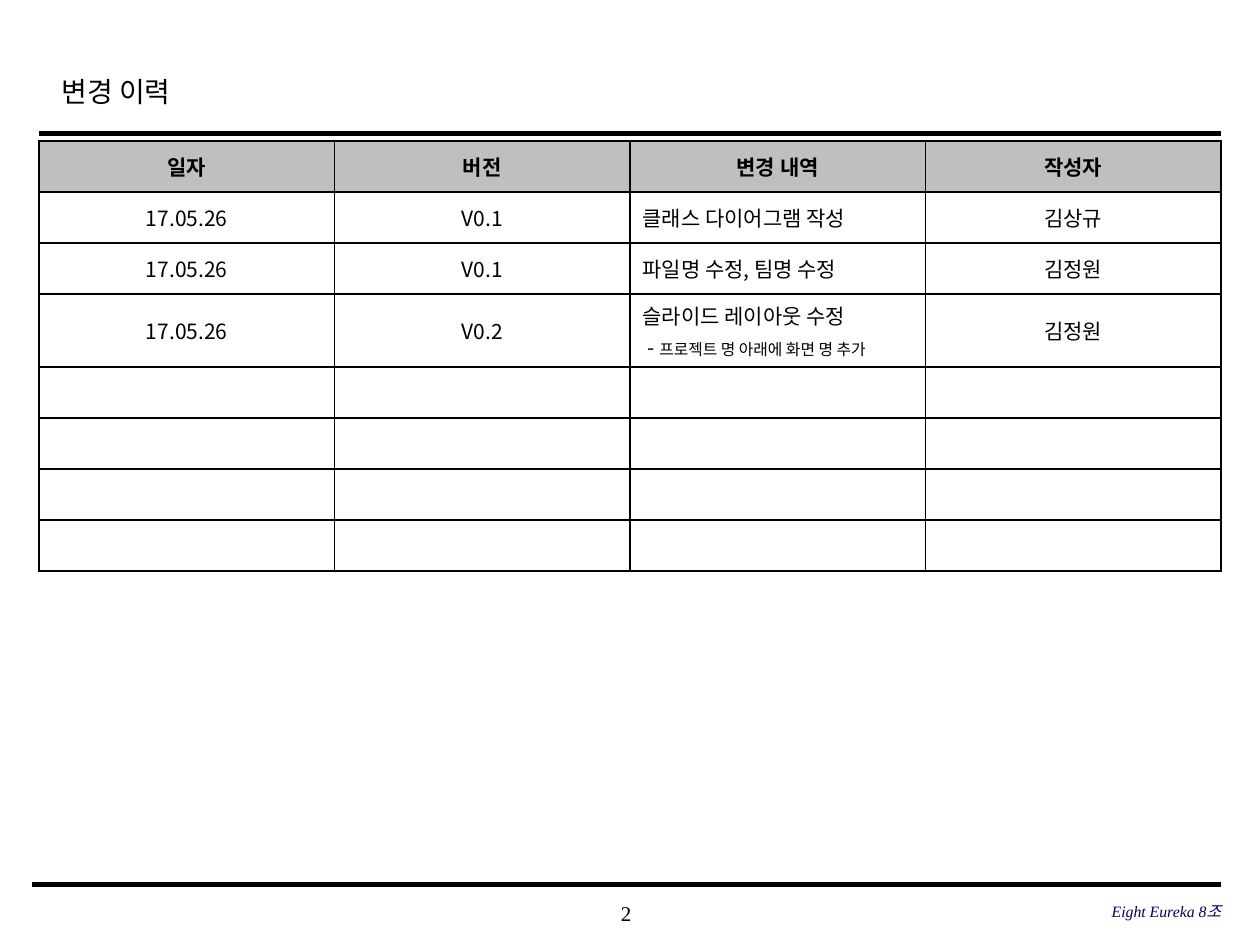
"""Build the revision history slide."""
import pptx
import pptx.dml.color
import pptx.enum.shapes
import pptx.enum.text
import pptx.oxml.ns
import pptx.util
import lxml.etree

Inches = pptx.util.Inches
Pt = pptx.util.Pt
ALIGN = pptx.enum.text.PP_ALIGN
MIDDLE = pptx.enum.text.MSO_ANCHOR.MIDDLE
qn = pptx.oxml.ns.qn
SANS = "Noto Sans CJK KR"
SERIF = "Times New Roman"


def color(hex_string):
    return pptx.dml.color.RGBColor.from_string(hex_string)


def style(paragraph, font_name, size, hex_string="000000", align=ALIGN.LEFT):
    paragraph.alignment = align
    paragraph.font.name = font_name
    paragraph.font.size = Pt(size)
    paragraph.font.color.rgb = color(hex_string)
    defaults = paragraph._p.pPr.find(qn("a:defRPr"))
    lxml.etree.SubElement(defaults, qn("a:ea"), typeface=SANS)


presentation = pptx.Presentation()
presentation.slide_width = Inches(10)
presentation.slide_height = Inches(7.5)
slide = presentation.slides.add_slide(presentation.slide_layouts[6])

for left, top, width in [(0.31, 1.06, 2.5), (0.25, 7.02, 3)]:
    rule = slide.shapes.add_connector(
        pptx.enum.shapes.MSO_CONNECTOR.STRAIGHT,
        Inches(left), Inches(top), Inches(9.69), Inches(top))
    rule.line.color.rgb = color("000000")
    rule.line.width = Pt(width)
    lxml.etree.SubElement(rule._element.spPr, qn("a:effectLst"))

title = slide.shapes.add_textbox(Inches(0.39), Inches(0.49), Inches(7.55), Inches(0.5))
title.text_frame.word_wrap = True
title_paragraph = title.text_frame.paragraphs[0]
title_paragraph.text = "변경 이력"
title_paragraph.line_spacing = 1.2
style(title_paragraph, SERIF, 16)

footers = [
    ("2", 3.93, 7.08, 2.08, 12, "000000", ALIGN.CENTER, False),
    ("Eight Eureka 8조", 6.63, 7.07, 3.06, 9, "000066", ALIGN.RIGHT, True),
]
for text, left, top, width, size, hex_string, align, italic in footers:
    footer = slide.shapes.add_textbox(Inches(left), Inches(top), Inches(width), Inches(0.33))
    frame = footer.text_frame
    frame.word_wrap = True
    frame.vertical_anchor = MIDDLE
    frame.margin_left = frame.margin_right = frame.margin_top = frame.margin_bottom = 0
    paragraph = frame.paragraphs[0]
    paragraph.text = text
    style(paragraph, SERIF, size, hex_string, align)
    paragraph.font.italic = italic

history = [
    ("일자", "버전", "변경 내역", "작성자"),
    ("17.05.26", "V0.1", "클래스 다이어그램 작성", "김상규"),
    ("17.05.26", "V0.1", "파일명 수정, 팀명 수정", "김정원"),
    ("17.05.26", "V0.2", "슬라이드 레이아웃 수정", "김정원"),
] + [("",) * 4] * 4

table = slide.shapes.add_table(
    len(history), 4, Inches(0.31), Inches(1.12), Inches(9.38), Inches(3.24)).table
table.rows[3].height = Inches(0.58)
for row_index, texts in enumerate(history):
    for column_index, text in enumerate(texts):
        cell = table.cell(row_index, column_index)
        cell.vertical_anchor = MIDDLE
        paragraph = cell.text_frame.paragraphs[0]
        is_header = row_index == 0
        is_detail = column_index == 2 and not is_header
        if text:
            paragraph.text = text
        else:
            paragraph._p.get_or_add_endParaRPr().set("sz", "1200")
        style(paragraph, SANS, 12, align=ALIGN.LEFT if is_detail else ALIGN.CENTER)
        paragraph.font.bold = is_header
        properties = cell._tc.get_or_add_tcPr()
        for side in ("a:lnL", "a:lnR", "a:lnT", "a:lnB"):
            border = lxml.etree.SubElement(properties, qn(side), w=str(Pt(1)))
            fill = lxml.etree.SubElement(border, qn("a:solidFill"))
            lxml.etree.SubElement(fill, qn("a:srgbClr"), val="000000")
        cell.fill.solid()
        cell.fill.fore_color.rgb = color("BFBFBF" if is_header else "FFFFFF")

note = table.cell(3, 2).text_frame.add_paragraph()
style(note, SANS, 12)
note.font.bold = False
note.add_run().text = " - "
note_text = note.add_run()
note_text.text = "프로젝트 명 아래에 화면 명 추가"
note_text.font.size = Pt(9)

presentation.save("out.pptx")
